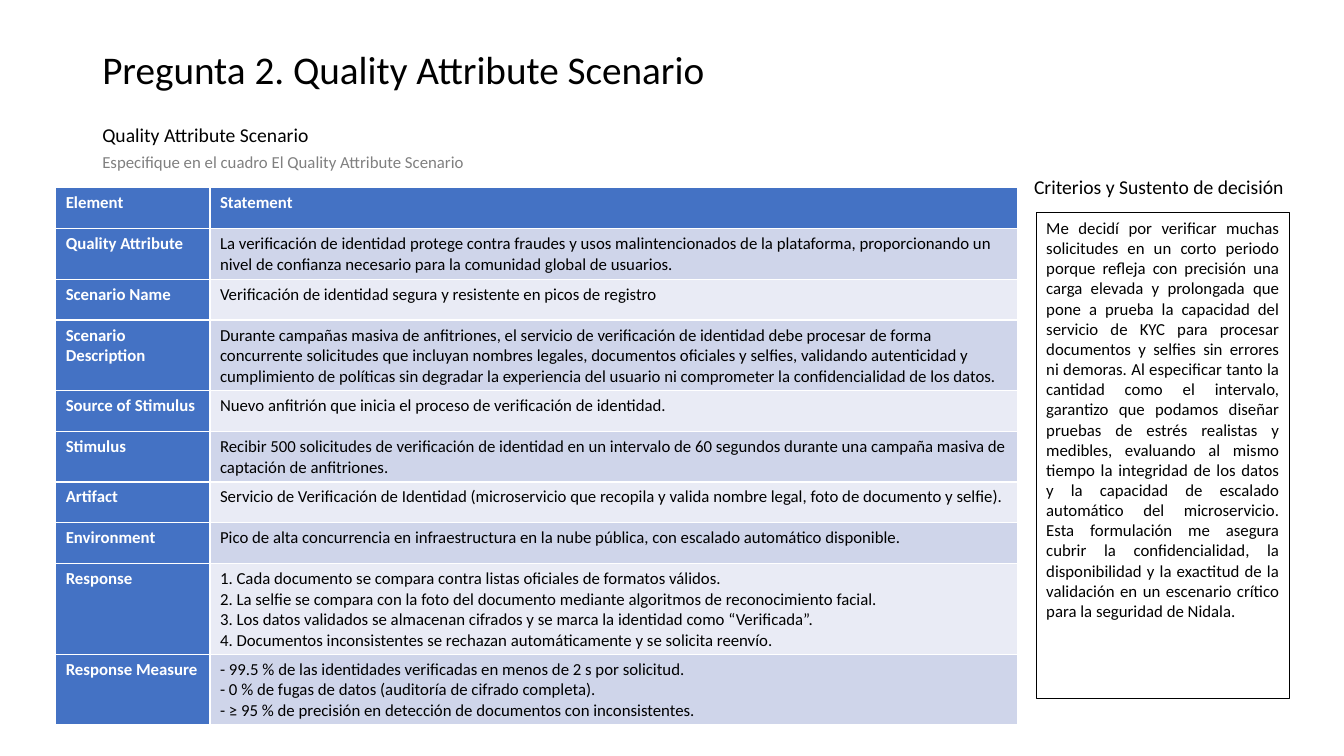
from pptx import Presentation
from pptx.dml.color import RGBColor
from pptx.enum import shapes, text
from pptx.util import Pt

BLACK, WHITE, GREY, BLUE = "000000", "FFFFFF", "808080", "4472C4"
BANDS = ["E9EBF5", "CFD5EA"]


def color(code):
    return RGBColor.from_string(code)


def write(frame, words, size, code, bold=False):
    """Fill the first paragraph, one run per line of words."""
    para = frame.paragraphs[0]
    for i, line in enumerate(words.split("\n")):
        if i:
            para.add_line_break()
        run = para.add_run()
        run.text = line
        font = run.font
        font.name, font.size, font.bold = "Calibri", Pt(size), bold
        font.color.rgb = color(code)
    return para


deck = Presentation()
deck.slide_width, deck.slide_height = Pt(960), Pt(540)
slide = deck.slides.add_slide(deck.slide_layouts[6])

# Title and labels: left, top, width, height, size, color, wrap, words
labels = [
    (66, -1, 828, 104.4, 28, BLACK, True, "Pregunta 2. Quality Attribute Scenario"),
    (66, 84.2, 163.4, 24.2, 14, BLACK, False, "Quality Attribute Scenario"),
    (731.5, 121.7, 198, 24.2, 14, BLACK, False, "Criterios y Sustento de decisión"),
    (66, 105.1, 406, 21.8, 12, GREY, True,
     "Especifique en el cuadro El Quality Attribute Scenario"),
]
for left, top, wide, high, size, code, wrap, words in labels:
    box = slide.shapes.add_textbox(Pt(left), Pt(top), Pt(wide), Pt(high))
    frame = box.text_frame
    frame.word_wrap = wrap
    para = write(frame, words, size, code)
    if size == 28:
        frame.vertical_anchor = text.MSO_ANCHOR.MIDDLE
        para.line_spacing = 0.9

# Rationale panel
panel = slide.shapes.add_shape(
    shapes.MSO_SHAPE.RECTANGLE, Pt(740.2), Pt(151.9), Pt(180.7), Pt(347))
panel.shadow.inherit = False
panel.fill.solid()
panel.fill.fore_color.rgb = color(WHITE)
panel.line.color.rgb = color(BLACK)
panel.line.width = Pt(1)
frame = panel.text_frame
frame.word_wrap = True
frame.vertical_anchor = text.MSO_ANCHOR.TOP
reason = (
    "Me decidí por verificar muchas solicitudes en un corto periodo porque refleja "
    "con precisión una carga elevada y prolongada que pone a prueba la capacidad del "
    "servicio de KYC para procesar documentos y selfies sin errores ni demoras. "
    "Al especificar tanto la cantidad como el intervalo, garantizo que podamos diseñar "
    "pruebas de estrés realistas y medibles, evaluando al mismo tiempo la integridad de "
    "los datos y la capacidad de escalado automático del microservicio. Esta formulación "
    "me asegura cubrir la confidencialidad, la disponibilidad y la exactitud de la "
    "validación en un escenario crítico para la seguridad de Nidala."
)
write(frame, reason, 12, BLACK).alignment = text.PP_ALIGN.JUSTIFY

# Scenario table
rows = [
    ("Element", "Statement"),
    ("Quality Attribute",
     "La verificación de identidad protege contra fraudes y usos malintencionados de la "
     "plataforma, proporcionando un nivel de confianza necesario para la comunidad global "
     "de usuarios."),
    ("Scenario Name",
     "Verificación de identidad segura y resistente en picos de registro"),
    ("Scenario Description",
     "Durante campañas masiva de anfitriones, el servicio de verificación de identidad debe "
     "procesar de forma concurrente solicitudes que incluyan nombres legales, documentos "
     "oficiales y selfies, validando autenticidad y cumplimiento de políticas sin degradar "
     "la experiencia del usuario ni comprometer la confidencialidad de los datos."),
    ("Source of Stimulus",
     "Nuevo anfitrión que inicia el proceso de verificación de identidad."),
    ("Stimulus",
     "Recibir 500 solicitudes de verificación de identidad en un intervalo de 60 segundos "
     "durante una campaña masiva de captación de anfitriones."),
    ("Artifact",
     "Servicio de Verificación de Identidad (microservicio que recopila y valida nombre "
     "legal, foto de documento y selfie)."),
    ("Environment",
     "Pico de alta concurrencia en infraestructura en la nube pública, con escalado "
     "automático disponible."),
    ("Response",
     "1. Cada documento se compara contra listas oficiales de formatos válidos.\n"
     "2. La selfie se compara con la foto del documento mediante algoritmos de "
     "reconocimiento facial.\n"
     "3. Los datos validados se almacenan cifrados y se marca la identidad como "
     "“Verificada”.\n"
     "4. Documentos inconsistentes se rechazan automáticamente y se solicita reenvío."),
    ("Response Measure",
     "- 99.5 % de las identidades verificadas en menos de 2 s por solicitud.\n"
     "- 0 % de fugas de datos (auditoría de cifrado completa).\n"
     "- ≥ 95 % de precisión en detección de documentos con inconsistentes."),
]
high = 29.2
grid = slide.shapes.add_table(
    len(rows), 2, Pt(39.8), Pt(134.2), Pt(686.9), Pt(high * len(rows))).table
grid.first_col = True
grid.columns[0].width, grid.columns[1].width = Pt(110.2), Pt(576.7)
for r, row in enumerate(rows):
    grid.rows[r].height = Pt(high)
    for c, words in enumerate(row):
        cell = grid.cell(r, c)
        head = r == 0 or c == 0
        cell.fill.solid()
        cell.fill.fore_color.rgb = color(BLUE if head else BANDS[r % 2])
        write(cell.text_frame, words, 12, WHITE if head else BLACK, head)

deck.save("out.pptx")
